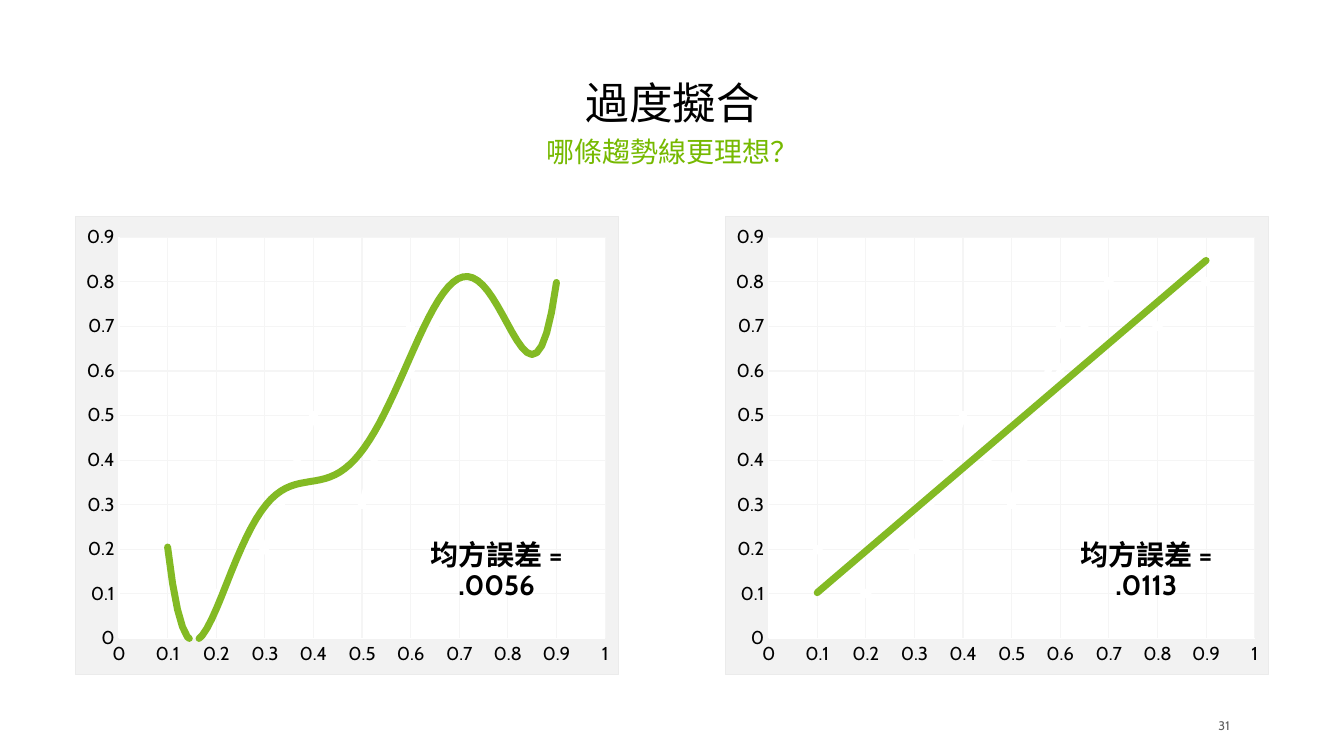
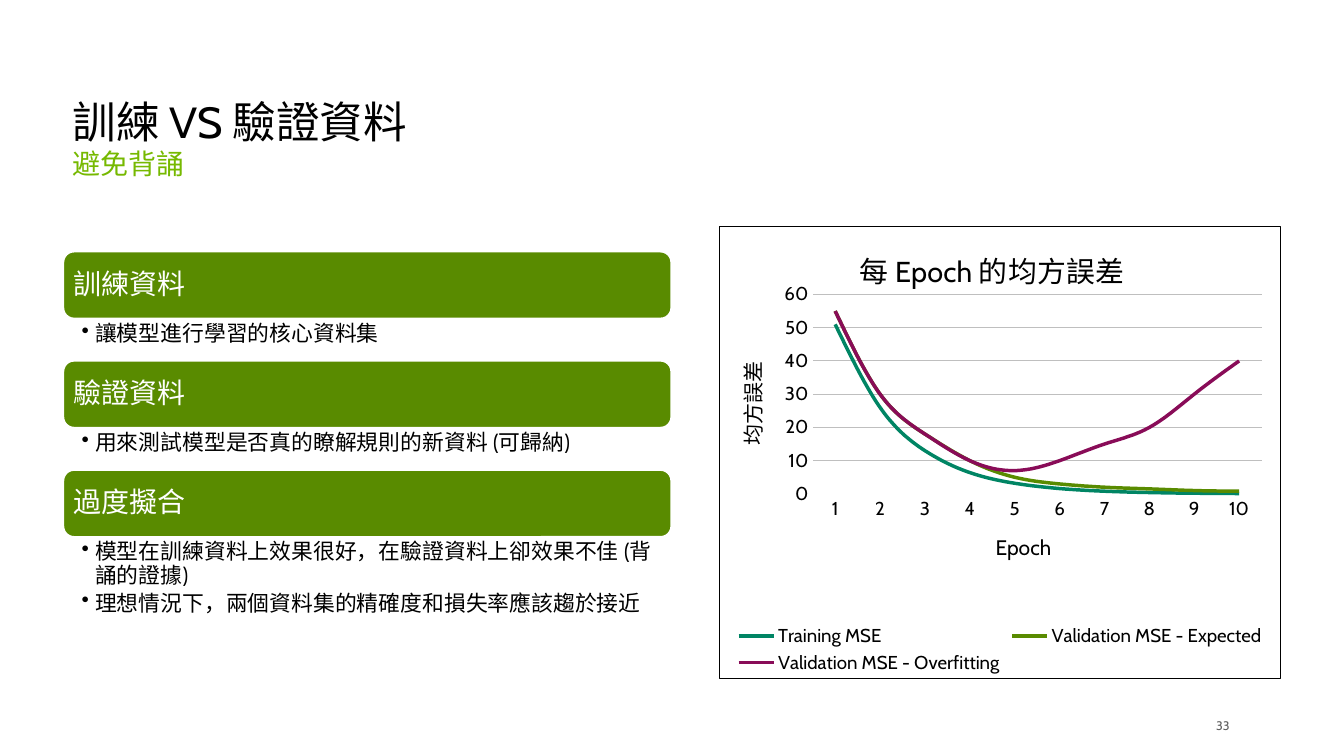
from lxml.etree import SubElement
from pptx import Presentation
from pptx.chart.data import CategoryChartData, XyChartData
from pptx.dml.color import RGBColor
from pptx.enum.chart import XL_CHART_TYPE, XL_LEGEND_POSITION, XL_MARKER_STYLE, XL_TICK_MARK
from pptx.enum.shapes import MSO_SHAPE
from pptx.enum.text import MSO_ANCHOR, PP_ALIGN
from pptx.oxml import parse_xml
from pptx.oxml.ns import nsdecls, qn
from pptx.util import Inches, Pt

FONT = "Cabin"
BLACK, WHITE, LIME, GREEN, GRAY = "000000", "FFFFFF", "76B900", "598B00", "5E5E5E"
PANEL, PANEL_EDGE, FAINT, RULE, TREND = "F2F2F2", "EBEBEB", "F5F5F5", "BFBFBF", "83BA24"

POINTS = [(0.1, 0.2), (0.2, 0.1), (0.3, 0.2), (0.4, 0.5), (0.5, 0.3),
          (0.6, 0.7), (0.55, 0.5), (0.7, 0.8), (0.8, 0.7), (0.9, 0.8)]
FITS = [("poly", "均方誤差 = .0056"), ("linear", "均方誤差 = .0113")]
CARDS = [
    ("訓練資料", ["讓模型進行學習的核心資料集"]),
    ("驗證資料", ["用來測試模型是否真的瞭解規則的新資料 (可歸納)"]),
    ("過度擬合", ["模型在訓練資料上效果很好，在驗證資料上卻效果不佳 (背誦的證據)",
              "理想情況下，兩個資料集的精確度和損失率應該趨於接近"]),
]
LOSSES = [
    ("Training MSE", "008564", [51, 26, 13, 6.4, 3.2, 1.6, 0.8, 0.4, 0.2, 0.1]),
    ("Validation MSE - Expected", GREEN, [55, 30, 18, 10, 5, 3, 2, 1.5, 1, 0.8]),
    ("Validation MSE - Overfitting", "890C58", [55, 30, 18, 10, 7, 10, 15, 20, 30, 40]),
]


def rgb(color):
    return RGBColor.from_string(color)


def style_font(font, size, color=BLACK, bold=False):
    font.name, font.size, font.bold = FONT, Pt(size), bold
    font.color.rgb = rgb(color)


def style_line(line, color, width):
    line.color.rgb = rgb(color)
    line.width = Pt(width)


def write(tf, paragraphs, size, color=BLACK, align=PP_ALIGN.LEFT, anchor=MSO_ANCHOR.TOP,
          insets=(0.1, 0.05, 0.1, 0.05), bold=False, after=0, bullet=False):
    tf.word_wrap = True
    tf.vertical_anchor = anchor
    tf.margin_left, tf.margin_top, tf.margin_right, tf.margin_bottom = map(Inches, insets)
    for i, text in enumerate(paragraphs):
        p = tf.paragraphs[0] if i == 0 else tf.add_paragraph()
        p.alignment, p.line_spacing, p.space_after = align, 0.9, Pt(after)
        if bullet:
            pPr = p._p.get_or_add_pPr()
            pPr.set("marL", str(Inches(0.12)))
            pPr.set("indent", str(-Inches(0.12)))
            SubElement(pPr, qn("a:buChar")).set("char", "•")
        r = p.add_run()
        r.text = text
        style_font(r.font, size, color, bold)


def add_text(s, box, paragraphs, size, **style):
    tb = s.shapes.add_textbox(*map(Inches, box))
    write(tb.text_frame, paragraphs, size, **style)


def add_slide(prs, number, title, title_box, subtitle, subtitle_box, align):
    s = prs.slides.add_slide(prs.slide_layouts[6])
    s.background.fill.solid()
    s.background.fill.fore_color.rgb = rgb(WHITE)
    add_text(s, (10.68, 6.4, 0.3, 0.18), [number], 8, color=GRAY, align=PP_ALIGN.RIGHT,
             anchor=MSO_ANCHOR.MIDDLE, insets=(0, 0, 0, 0))
    add_text(s, title_box, [title], 28, align=align, anchor=MSO_ANCHOR.BOTTOM)
    add_text(s, subtitle_box, [subtitle], 18, color=LIME, align=align)
    return s


def shape_props(fill, edge=None, width=0.75, cap="flat"):
    paint = f'<a:solidFill><a:srgbClr val="{fill}"/></a:solidFill>' if fill else "<a:noFill/>"
    line = (f'<a:ln w="{Pt(width)}" cap="{cap}"><a:solidFill><a:srgbClr val="{edge}"/>'
            "</a:solidFill></a:ln>") if edge else "<a:ln><a:noFill/></a:ln>"
    return parse_xml(f'<c:spPr {nsdecls("c", "a")}>{paint}{line}</c:spPr>')


def layout(x, y, w=None, h=None):
    parts = [("layoutTarget", "inner")] if w else []
    parts += [("xMode", "edge"), ("yMode", "edge"), ("x", x), ("y", y)]
    parts += [("w", w), ("h", h)] if w else []
    body = "".join(f'<c:{tag} val="{val}"/>' for tag, val in parts)
    return parse_xml(f'<c:layout {nsdecls("c")}><c:manualLayout>{body}</c:manualLayout></c:layout>')


def drop_layout(element):
    old = element.find(qn("c:layout"))
    if old is not None:
        element.remove(old)


def add_chart(s, kind, box, data, fill, edge, plot_fill, plot_box):
    chart = s.shapes.add_chart(kind, *map(Inches, box), data).chart
    chart.has_title = chart.has_legend = False
    style_font(chart.font, 10)
    chart.plots[0].vary_by_categories = False
    root = chart._chartSpace
    root.find(qn("c:chart")).addnext(shape_props(fill, edge))
    area = root.chart.plotArea
    drop_layout(area)
    area.insert(0, layout(*plot_box))
    area.append(shape_props(plot_fill))
    return chart


def style_axis(axis, line=None, grid=None, top=None, step=None):
    axis.major_tick_mark = axis.minor_tick_mark = XL_TICK_MARK.NONE
    style_font(axis.tick_labels.font, 12)
    axis.has_major_gridlines = bool(grid)
    if grid:
        style_line(axis.major_gridlines.format.line, grid, 0.75)
    if line:
        style_line(axis.format.line, line, 0.75)
    else:
        axis.format.line.fill.background()
    if top:
        axis.minimum_scale, axis.maximum_scale, axis.major_unit = 0, top, step
        axis.tick_labels.number_format = "General"
        axis.tick_labels.number_format_is_linked = False


def name_title(owner, text, size, x, y):
    owner.has_title = True
    title = owner.chart_title if hasattr(owner, "chart_title") else owner.axis_title
    r = title.text_frame.paragraphs[0].add_run()
    r.text = text
    style_font(r.font, size)
    element = title._element
    drop_layout(element)
    element.find(qn("c:tx")).addnext(layout(x, y))


def add_trend(series, kind):
    order = '<c:order val="6"/>' if kind == "poly" else ""
    trend = parse_xml(f'<c:trendline {nsdecls("c")}><c:trendlineType val="{kind}"/>{order}'
                      '<c:dispRSqr val="0"/><c:dispEq val="0"/></c:trendline>')
    trend.insert(0, shape_props(None, TREND, 4.5, "rnd"))
    series._element.find(qn("c:xVal")).addprevious(trend)


def overfitting_slide(prs):
    s = add_slide(prs, "31", "過度擬合", (0.55, 0.55, 10.91, 0.65),
                  "哪條趨勢線更理想？", (0.55, 1.19, 10.91, 0.57), PP_ALIGN.CENTER)
    for i, (kind, error) in enumerate(FITS):
        left = 0.67 + 5.8 * i
        data = XyChartData()
        series = data.add_series("Series 1")
        for x, y in POINTS:
            series.add_data_point(x, y)
        chart = add_chart(s, XL_CHART_TYPE.XY_SCATTER_LINES, (left, 1.93, 4.86, 4.1), data,
                          PANEL, PANEL_EDGE, WHITE, (0.08, 0.045, 0.895, 0.876))
        style_axis(chart.category_axis, WHITE, FAINT, 1, 0.1)
        style_axis(chart.value_axis, WHITE, FAINT, 0.9, 0.1)
        dots = chart.plots[0].series[0]
        dots.smooth = False
        style_line(dots.format.line, WHITE, 4.5)
        dots.marker.style, dots.marker.size = XL_MARKER_STYLE.CIRCLE, 5
        dots.marker.format.fill.solid()
        dots.marker.format.fill.fore_color.rgb = rgb(WHITE)
        dots.marker.format.line.fill.background()
        add_trend(dots, kind)
        add_text(s, (left + 2.94, 4.92, 1.65, 0.37), [error], 18, bold=True,
                 align=PP_ALIGN.CENTER, anchor=MSO_ANCHOR.MIDDLE)


def add_cards(s):
    left, width, bar_height = 0.56, 5.44, 0.61
    for i, (heading, notes) in enumerate(CARDS):
        top = 2.24 + 0.975 * i
        bar = s.shapes.add_shape(MSO_SHAPE.ROUNDED_RECTANGLE,
                                 *map(Inches, (left, top, width, bar_height)))
        bar.shadow.inherit = False
        bar.fill.solid()
        bar.fill.fore_color.rgb = rgb(GREEN)
        style_line(bar.line, WHITE, 2)
        write(bar.text_frame, [heading], 18, color=WHITE, anchor=MSO_ANCHOR.MIDDLE,
              insets=(0.07, 0.07, 0.07, 0.07))
        height = 0.37 if len(notes) == 1 else 1.04
        add_text(s, (left, top + bar_height, width, height), notes, 14,
                 insets=(0.17, 0.03, 0.14, 0.03), after=2.8, bullet=True)


def validation_slide(prs):
    s = add_slide(prs, "33", "訓練 VS 驗證資料", (0.55, 0.69, 6.48, 0.68),
                  "避免背誦", (0.55, 1.29, 6.48, 0.57), PP_ALIGN.LEFT)
    add_cards(s)
    data = CategoryChartData()
    data.categories = [str(epoch) for epoch in range(1, 11)]
    for name, _, values in LOSSES:
        data.add_series(name, values)
    chart = add_chart(s, XL_CHART_TYPE.LINE, (6.42, 2.02, 5.02, 4.04), data,
                      None, BLACK, None, (0.166, 0.15, 0.8, 0.442))
    style_axis(chart.category_axis, WHITE)
    style_axis(chart.value_axis, None, RULE, 60, 10)
    name_title(chart, "每 Epoch 的均方誤差", 18.6, 0.24, 0.03)
    name_title(chart.category_axis, "Epoch", 13.5, 0.485, 0.67)
    name_title(chart.value_axis, "均方誤差", 13.5, 0.02, 0.29)
    chart.has_legend = True
    chart.legend.position = XL_LEGEND_POSITION.BOTTOM
    chart.legend.include_in_layout = False
    style_font(chart.legend.font, 12)
    for series, (_, color, _) in zip(chart.plots[0].series, LOSSES):
        series.smooth = True
        style_line(series.format.line, color, 2.25)


def main():
    """Build the two slides on overfitting and validation data."""
    prs = Presentation()
    prs.slide_width, prs.slide_height = Inches(12), Inches(6.75)
    overfitting_slide(prs)
    validation_slide(prs)
    prs.save("out.pptx")


if __name__ == "__main__":
    main()
